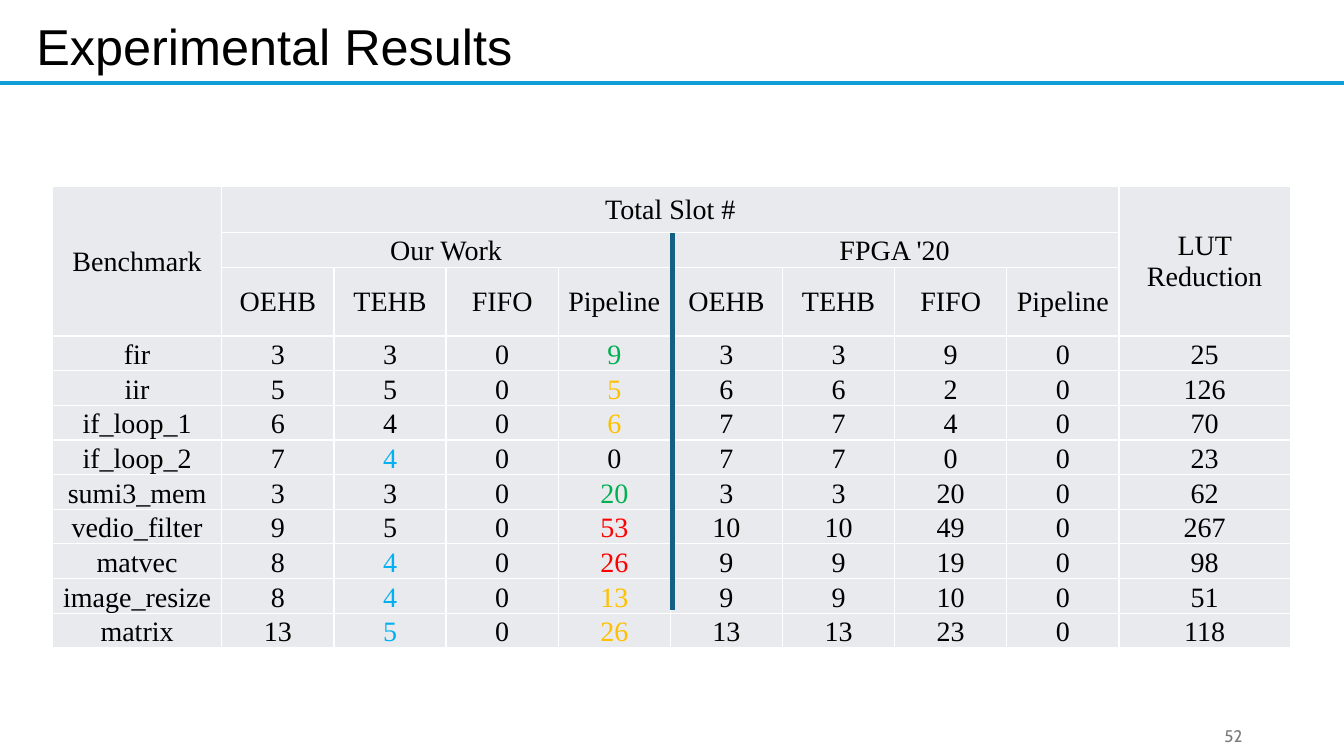
from dataclasses import dataclass

from lxml.etree import SubElement
from pptx import Presentation
from pptx.dml.color import RGBColor
from pptx.enum.shapes import MSO_CONNECTOR
from pptx.enum.text import MSO_ANCHOR, MSO_AUTO_SIZE, PP_ALIGN
from pptx.oxml.ns import qn
from pptx.util import Inches, Pt


@dataclass(frozen=True)
class Theme:
    black: str = "000000"
    gray: str = "797979"
    white: str = "FFFFFF"
    cell: str = "E8EAED"
    rule: str = "0F9ED5"
    divider: str = "156082"
    green: str = "00B050"
    amber: str = "FFC000"
    red: str = "FF0000"
    blue: str = "00B0F0"
    title_font: str = "Arial"
    table_font: str = "Times New Roman"
    number_font: str = "Cabin"
    title_size: int = 36
    table_size: int = 20
    number_size: int = 12


THEME = Theme()
SLIDE_WIDTH, SLIDE_HEIGHT = 13.33, 7.5

BUFFERS = ["OEHB", "TEHB", "FIFO", "Pipeline"]
# Benchmark, four slot counts for each design, LUT reduction
RESULTS = [
    ("fir", 3, 3, 0, 9, 3, 3, 9, 0, 25),
    ("iir", 5, 5, 0, 5, 6, 6, 2, 0, 126),
    ("if_loop_1", 6, 4, 0, 6, 7, 7, 4, 0, 70),
    ("if_loop_2", 7, 4, 0, 0, 7, 7, 0, 0, 23),
    ("sumi3_mem", 3, 3, 0, 20, 3, 3, 20, 0, 62),
    ("vedio_filter", 9, 5, 0, 53, 10, 10, 49, 0, 267),
    ("matvec", 8, 4, 0, 26, 9, 9, 19, 0, 98),
    ("image_resize", 8, 4, 0, 13, 9, 9, 10, 0, 51),
    ("matrix", 13, 5, 0, 26, 13, 13, 23, 0, 118),
]
# Highlighted columns of our work: benchmark to colour
HIGHLIGHTS = {
    2: dict.fromkeys(["if_loop_2", "matvec", "image_resize", "matrix"], THEME.blue),
    4: {
        **dict.fromkeys(["fir", "sumi3_mem"], THEME.green),
        **dict.fromkeys(["iir", "if_loop_1", "image_resize", "matrix"], THEME.amber),
        **dict.fromkeys(["vedio_filter", "matvec"], THEME.red),
    },
}


def write_text(frame, text, *, font, size, color=THEME.black,
               align=PP_ALIGN.LEFT, anchor=MSO_ANCHOR.TOP):
    frame.word_wrap = True
    frame.vertical_anchor = anchor
    para = frame.paragraphs[0]
    para.alignment = align
    span = para.add_run()
    span.text = text
    span.font.name = font
    span.font.size = Pt(size)
    span.font.color.rgb = RGBColor.from_string(color)


def add_line(page, start, end, color, width=3):
    line = page.shapes.add_connector(
        MSO_CONNECTOR.STRAIGHT, *(Inches(value) for value in (*start, *end)))
    line.line.color.rgb = RGBColor.from_string(color)
    line.line.width = Pt(width)
    SubElement(line._element.spPr, qn("a:effectLst"))


def add_title(page, left, top, width, height):
    title = page.shapes.title
    title.left, title.top = Inches(left), Inches(top)
    title.width, title.height = Inches(width), Inches(height)
    write_text(title.text_frame, "Experimental Results",
               font=THEME.title_font, size=THEME.title_size)
    title.text_frame.auto_size = MSO_AUTO_SIZE.NONE
    add_line(page, (0, top + 0.72), (SLIDE_WIDTH, top + 0.72), THEME.rule)


def add_page_number(page, left, top, width, height):
    box = page.shapes.add_textbox(*map(Inches, (left, top, width, height)))
    write_text(box.text_frame, "52", font=THEME.number_font, size=THEME.number_size,
               color=THEME.gray, align=PP_ALIGN.RIGHT, anchor=MSO_ANCHOR.MIDDLE)


def style_cell(cell):
    cell.margin_left = cell.margin_right = cell.margin_top = Inches(0.01)
    cell.margin_bottom = 0
    properties = cell._tc.get_or_add_tcPr()
    for side in ("a:lnL", "a:lnR", "a:lnT", "a:lnB"):
        border = SubElement(properties, qn(side), w=str(Pt(1)))
        SubElement(SubElement(border, qn("a:solidFill")), qn("a:srgbClr"), val=THEME.white)
    cell.fill.solid()
    cell.fill.fore_color.rgb = RGBColor.from_string(THEME.cell)


def write_cell(cell, text, color=THEME.black, anchor=MSO_ANCHOR.MIDDLE):
    write_text(cell.text_frame, text, font=THEME.table_font, size=THEME.table_size,
               color=color, align=PP_ALIGN.CENTER)
    cell.vertical_anchor = anchor


def add_results_table(page, left, top, width):
    first, last = 1.68, 1.7
    slot_width = (width - first - last) / 8
    column_widths = [first] + [slot_width] * 8 + [last]
    row_heights = [0.46, 0.34, 0.68] + [0.34] * len(RESULTS)
    height = sum(row_heights)
    table = page.shapes.add_table(
        len(row_heights), len(column_widths),
        *map(Inches, (left, top, width, height))).table
    table.first_row = table.horz_banding = False
    for column, column_width in zip(table.columns, column_widths):
        column.width = Inches(column_width)
    for row, row_height in zip(table.rows, row_heights):
        row.height = Inches(row_height)
    for cell in table.iter_cells():
        style_cell(cell)

    # Merged headings: first row and column, last row and column
    for text, row, column, end_row, end_column in [
        ("Benchmark", 0, 0, 2, 0),
        ("Total Slot #", 0, 1, 0, 8),
        ("LUT Reduction", 0, 9, 2, 9),
        ("Our Work", 1, 1, 1, 4),
        ("FPGA '20", 1, 5, 1, 8),
    ]:
        table.cell(row, column).merge(table.cell(end_row, end_column))
        write_cell(table.cell(row, column), text)
    for column, text in enumerate(BUFFERS * 2, start=1):
        write_cell(table.cell(2, column), text)

    # Benchmark rows
    for row, result in enumerate(RESULTS, start=3):
        for column, value in enumerate(result):
            color = HIGHLIGHTS.get(column, {}).get(result[0], THEME.black)
            write_cell(table.cell(row, column), str(value), color, MSO_ANCHOR.BOTTOM)

    # Divider between the two designs, ending above the last row
    middle = left + width / 2 + 0.01
    add_line(page, (middle, top + row_heights[0]),
             (middle, top + height - row_heights[-1]), THEME.divider)


def build_results_page(deck):
    page = deck.slides.add_slide(deck.slide_layouts[5])
    add_title(page, 0.26, 0.1, 5.61, 0.71)
    add_page_number(page, 9.42, 7.1, 3, 0.4)
    add_results_table(page, 0.52, 1.85, 12.28)


def main():
    deck = Presentation()
    deck.slide_width, deck.slide_height = Inches(SLIDE_WIDTH), Inches(SLIDE_HEIGHT)
    build_results_page(deck)
    deck.save("out.pptx")


if __name__ == "__main__":
    main()
